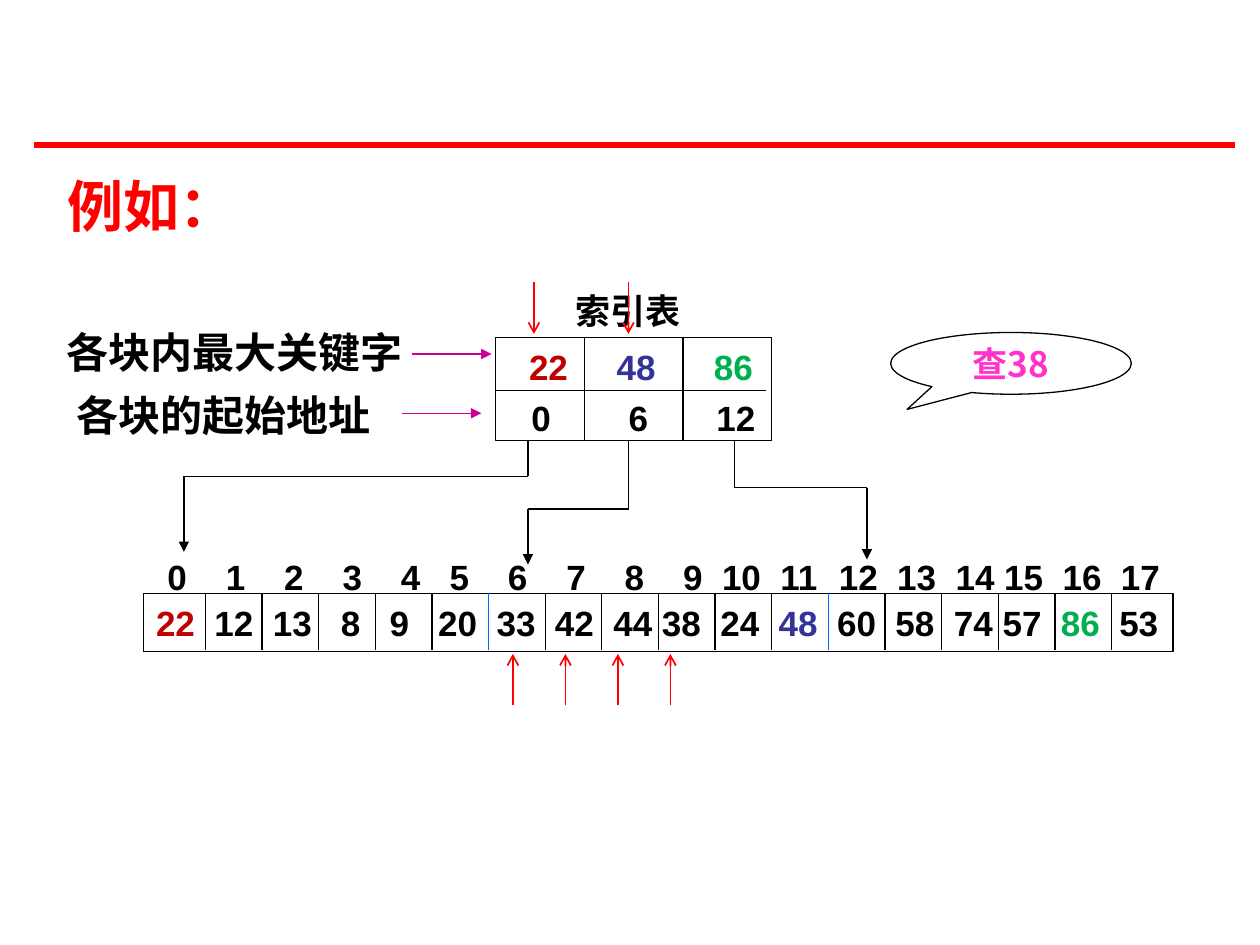
from pptx import Presentation
from pptx.dml.color import RGBColor
from pptx.enum.shapes import MSO_CONNECTOR, MSO_SHAPE
from pptx.enum.text import MSO_ANCHOR, PP_ALIGN
from pptx.oxml.ns import qn
from pptx.util import Pt
from lxml.etree import SubElement

BLACK, RED, MAGENTA = "000000", "FF0000", "CC0099"
BLOCK_COLORS = {"22": "C00000", "48": "333399", "86": "00B050"}
CJK_FONT = "Noto Sans CJK SC"
SPACE_WIDTH = 5.56


def color(value):
    """Turn a hex string into a colour."""
    return RGBColor.from_string(value)


def add_line(page, start, end, hue=BLACK, width=0.75, head=None):
    """Draw a straight line, with an arrowhead at its end if one is named."""
    line = page.shapes.add_connector(
        MSO_CONNECTOR.STRAIGHT, *(Pt(value) for value in (*start, *end)))
    line.line.color.rgb = color(hue)
    line.line.width = Pt(width)
    if head:
        SubElement(line.line._get_or_add_ln(), qn("a:tailEnd"), type=head)
    SubElement(line._element.spPr, qn("a:effectLst"))


def add_outline(page, kind, box):
    """Add an unfilled shape with a thin black outline."""
    shape = page.shapes.add_shape(kind, *(Pt(value) for value in box))
    shape.shadow.inherit = False
    shape.fill.background()
    shape.line.color.rgb = color(BLACK)
    shape.line.width = Pt(0.75)
    return shape


def add_span(para, text, size, hue, font):
    """Append one bold run to a paragraph."""
    span = para.add_run()
    span.text = text
    span.font.size = Pt(size)
    span.font.bold = True
    span.font.name = font
    span.font.color.rgb = color(hue)
    SubElement(span._r.get_or_add_rPr(), qn("a:ea"), typeface=CJK_FONT)


def add_label(page, box, text, size, hue=BLACK):
    """Add a text box that holds a single run."""
    label = page.shapes.add_textbox(*(Pt(value) for value in box))
    label.text_frame.word_wrap = True
    add_span(label.text_frame.paragraphs[0], text, size, hue, "Arial")


def fill_row(frame, numbers, columns, colors):
    """Write numbers on one line, each at a tab stop counted in space widths."""
    frame.word_wrap = True
    frame.margin_right = 0
    para = frame.paragraphs[0]
    para.alignment = PP_ALIGN.LEFT
    stops = SubElement(para._p.get_or_add_pPr(), qn("a:tabLst"))
    for column in columns[1:]:
        SubElement(stops, qn("a:tab"), pos=str(Pt(column * SPACE_WIDTH)), algn="l")
    for position, number in enumerate(numbers):
        text = f"\t{number}" if position else number
        add_span(para, text, 20, colors.get(number, BLACK), "Arial")


def add_row(page, box, numbers, columns, colors):
    """Add a text box with a row of numbers."""
    row = page.shapes.add_textbox(*(Pt(value) for value in box))
    fill_row(row.text_frame, numbers, columns, colors)


def add_array(page, box):
    """Draw the array with its positions above and search arrows below."""
    left, top, width, height = box
    positions = [str(number) for number in range(18)]
    add_row(page, (left + 6.5, top - 25.2, width, 31.7), positions,
            [0, 6, 12, 18, 24, 29, 35, 41, 47, 53, 57, 63, 69, 75, 81, 86, 92, 98], {})
    cells = add_outline(page, MSO_SHAPE.RECTANGLE, box)
    cells.text_frame.vertical_anchor = MSO_ANCHOR.MIDDLE
    fill_row(cells.text_frame,
             "22 12 13 8 9 20 33 42 44 38 24 48 60 58 74 57 86 53".split(),
             [0, 6, 12, 19, 24, 29, 35, 41, 47, 52, 58, 64, 70, 76, 82, 87, 93, 99],
             BLOCK_COLORS)
    for number in range(17):
        x = left + 35.3 + number * 32.36
        hue = "0066FF" if number in (5, 11) else BLACK
        add_line(page, (x, top), (x, top + 32.4), hue)
    for number in range(4):
        x = left + 211 + number * 30
        add_line(page, (x, top + 64), (x, top + 34.6), RED, 1, "arrow")


def add_index(page, box):
    """Draw the index table with its title and the two search arrows."""
    left, top, width, height = box
    add_outline(page, MSO_SHAPE.RECTANGLE, box)
    add_line(page, (left, top + 30.2), (left + 154.8, top + 30.2))
    for offset in (51.1, 107.3):
        add_line(page, (left + offset, top), (left + offset, top + height))
    add_row(page, (left + 12.2, top + 0.7, 142.6, 31.7),
            ["22", "48", "86"], [0, 9, 19], BLOCK_COLORS)
    add_row(page, (left + 13.6, top + 30.2, 142.6, 31.7),
            ["0", "6", "12"], [0, 10, 19], {})
    add_label(page, (left + 38.8, top - 31, 78, 31.7), "索引表", 20)
    for offset in (22.1, 76.1):
        add_line(page, (left + offset, top - 31.7), (left + offset, top - 2.2),
                 RED, 1, "arrow")


def add_pointers(page, top):
    """Lead each start address down to its block in the array."""
    for start, bend, end, bottom in ((301.7, 272.2, 105.1, 315.4),
                                     (359.3, 290.9, 301.7, 322.6),
                                     (419.8, 278.6, 495.4, 319.7)):
        add_line(page, (start, top), (start, bend))
        add_line(page, (start, bend), (end, bend))
        add_line(page, (end, bend), (end, bottom), head="triangle")


def add_captions(page, left, top):
    """Name the two rows of the index table and point at them."""
    for x, y, width, arrow, text in ((0, 0, 238.3, 204.5, "各块内最大关键字"),
                                     (5.8, 36, 209.5, 198.7, "各块的起始地址")):
        add_label(page, (left + x, top + y, width, 36), text, 24)
        middle = top + 19.4 + y * 0.94
        add_line(page, (left + arrow, middle), (left + arrow + 45.4, middle),
                 MAGENTA, head="triangle")


def add_callout(page, box):
    """Add the speech bubble with the key to look up."""
    bubble = add_outline(page, MSO_SHAPE.OVAL_CALLOUT, box)
    bubble.adjustments[0] = -0.432
    bubble.adjustments[1] = 0.745
    frame = bubble.text_frame
    frame.word_wrap = False
    frame.vertical_anchor = MSO_ANCHOR.MIDDLE
    para = frame.paragraphs[0]
    para.alignment = PP_ALIGN.CENTER
    add_span(para, "查38", 20, "FF33CC", CJK_FONT)


def main():
    """Build the block search slide."""
    deck = Presentation()
    deck.slide_width, deck.slide_height = Pt(720), Pt(540)
    page = deck.slides.add_slide(deck.slide_layouts[6])
    add_line(page, (19.4, 82.8), (705.6, 82.8), RED, 3)
    add_array(page, (82.1, 339.1, 588.2, 33.1))
    add_index(page, (283, 193, 157.7, 58.8))
    add_pointers(page, 251.5)
    add_callout(page, (509, 190, 137.5, 35.3))
    add_label(page, (31.7, 94.3, 114, 46), "例如：", 32, RED)
    add_captions(page, 31, 182.9)
    deck.save("out.pptx")


if __name__ == "__main__":
    main()
